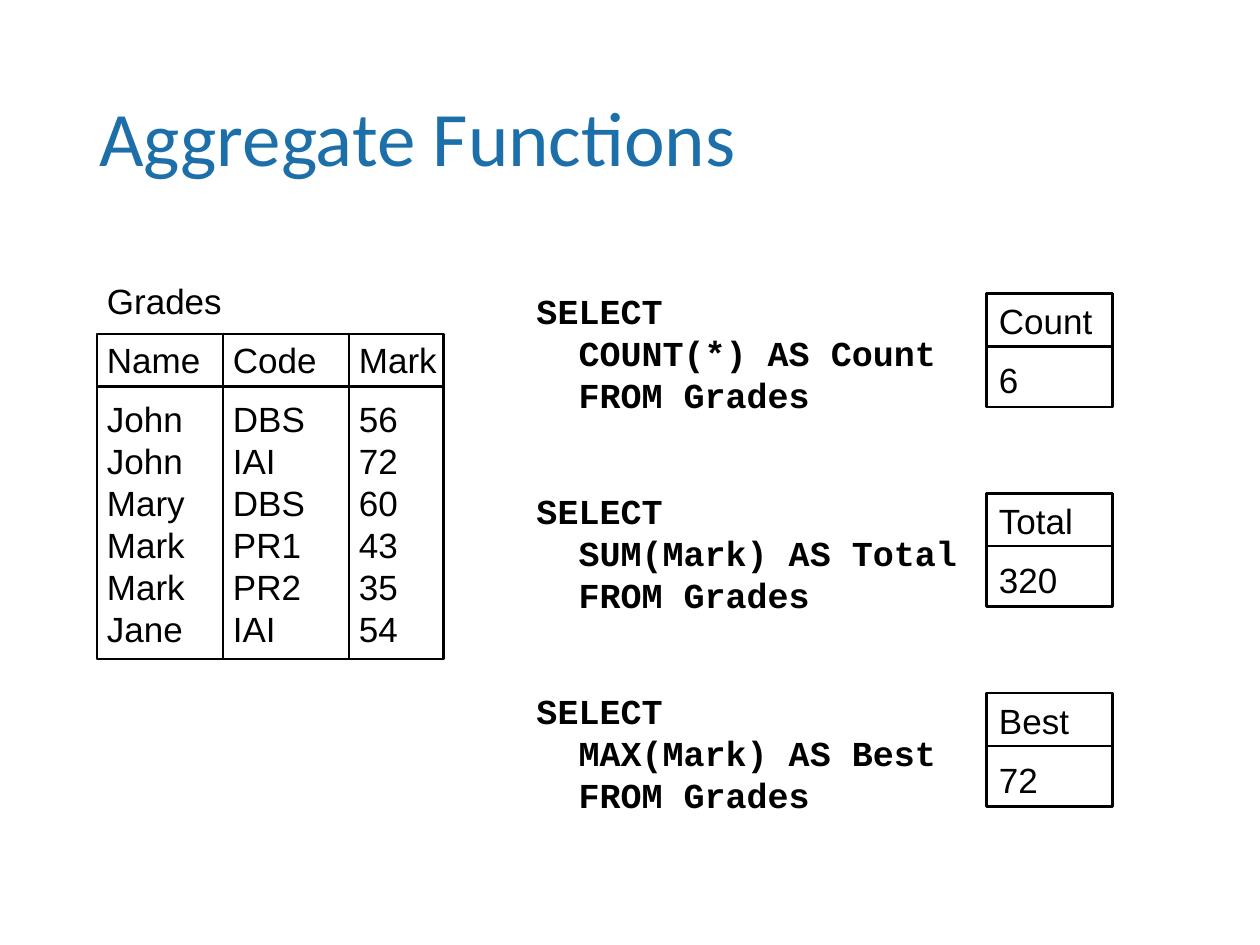
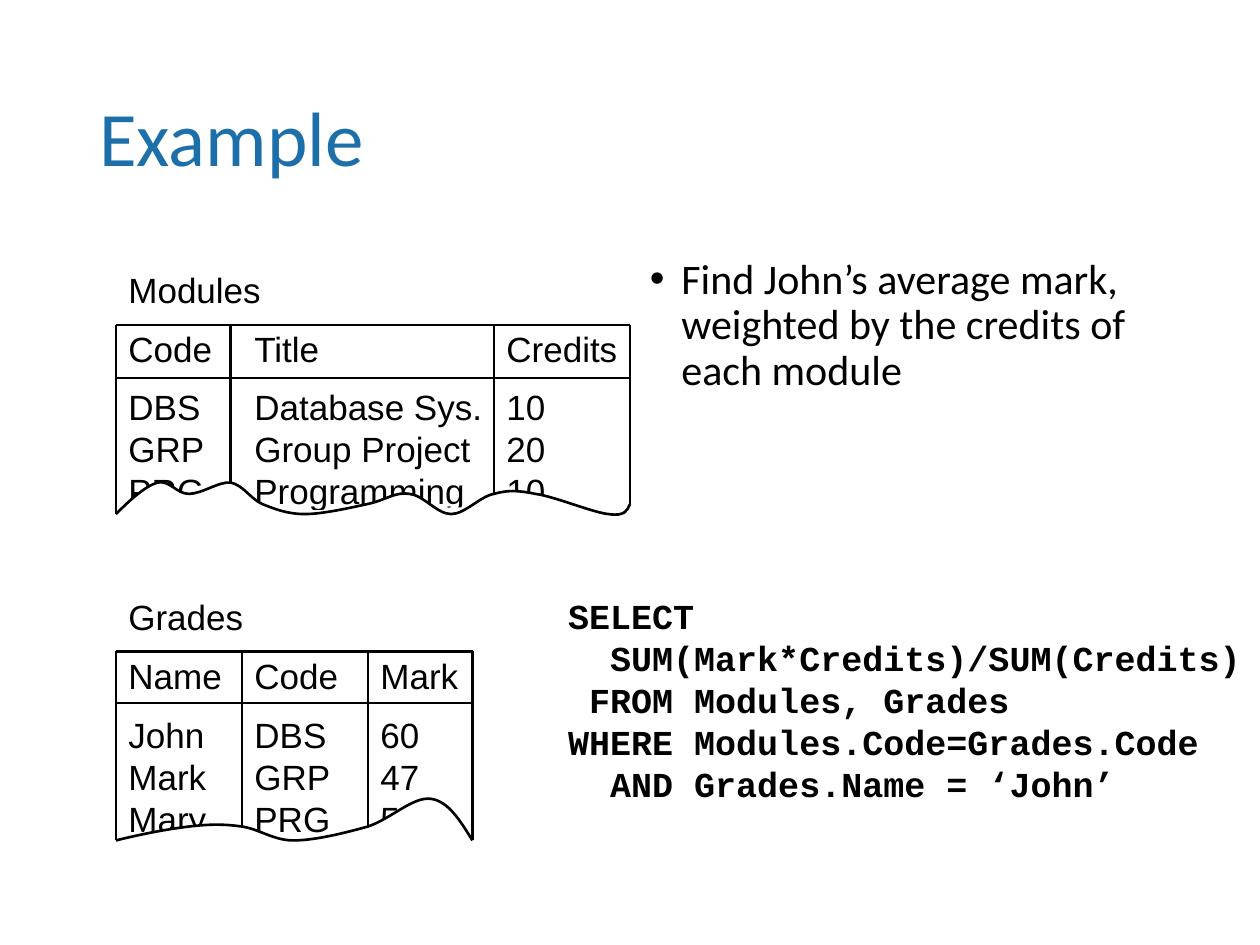
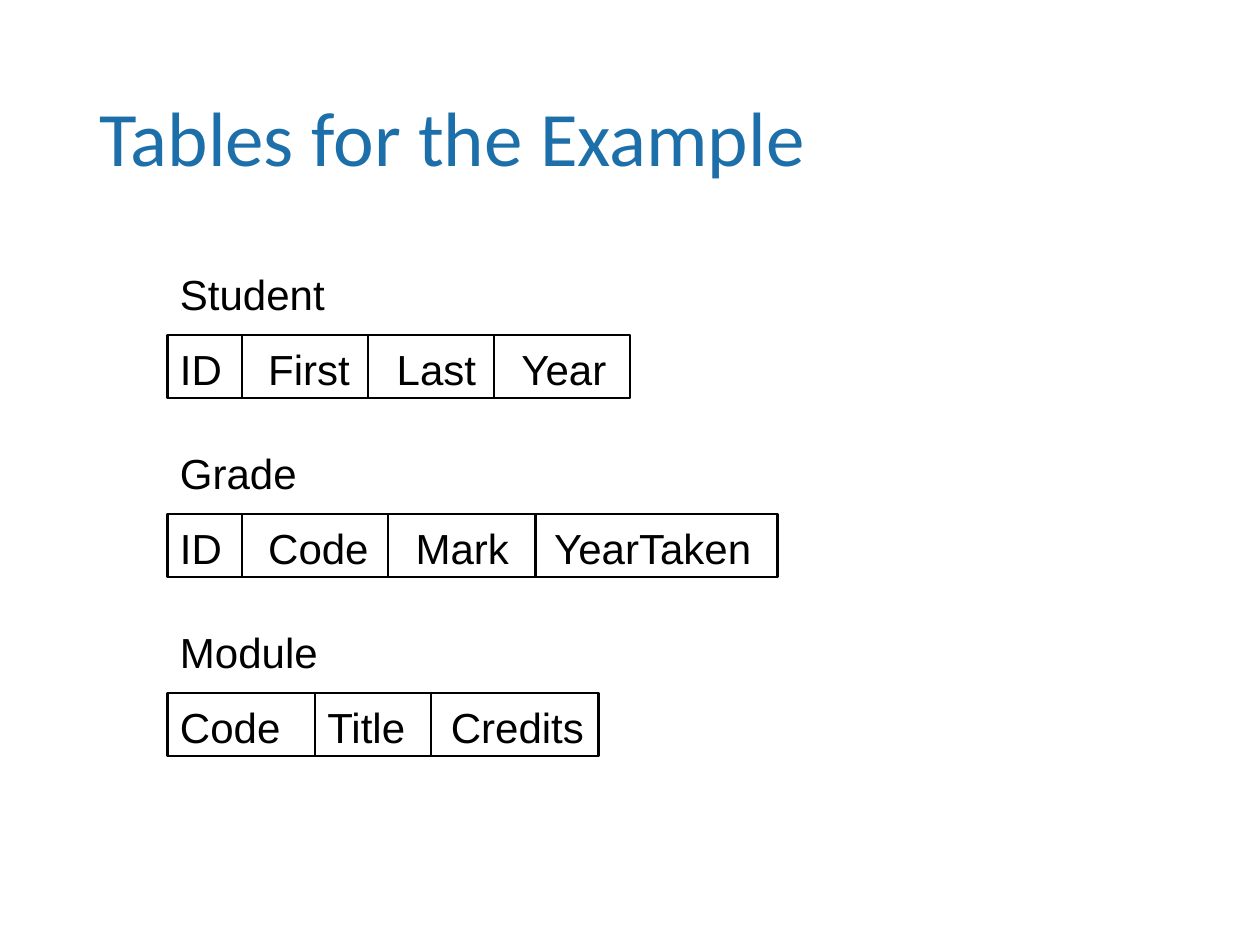
"""Build three slides on SQL aggregate functions and their example tables."""
import pptx
import pptx.dml.color
import pptx.enum.shapes
import pptx.enum.text
import pptx.oxml.ns
import pptx.util
from lxml import etree
from pptx.util import Inches

BLACK = pptx.dml.color.RGBColor(0x00, 0x00, 0x00)
WHITE = pptx.dml.color.RGBColor(0xFF, 0xFF, 0xFF)
TITLE_BLUE = pptx.dml.color.RGBColor(0x1D, 0x6F, 0xA9)
LINE_WIDTH = pptx.util.Pt(1.5)
qn = pptx.oxml.ns.qn


def add_text(page, place, lines, size=20, font="Arial", bold=False, color=BLACK,
             tabs=(), gaps=(), spacing=None, wrap=False, outlined=False):
    """Add a text box or outlined rectangle; gaps gives the points before each line."""
    position = [Inches(length) for length in place]
    if outlined:
        box = page.shapes.add_shape(pptx.enum.shapes.MSO_SHAPE.RECTANGLE, *position)
        box.shadow.inherit = False
        box.fill.background()
        box.line.color.rgb = BLACK
        box.line.width = LINE_WIDTH
    else:
        box = page.shapes.add_textbox(*position)
    frame = box.text_frame
    frame.word_wrap = wrap
    frame.vertical_anchor = pptx.enum.text.MSO_ANCHOR.TOP
    if not wrap and not outlined:
        frame.auto_size = pptx.enum.text.MSO_AUTO_SIZE.SHAPE_TO_FIT_TEXT
    for index, line in enumerate(lines):
        para = frame.paragraphs[0] if index == 0 else frame.add_paragraph()
        para.add_run().text = line
        if tabs:
            stops = etree.SubElement(para._p.get_or_add_pPr(), qn("a:tabLst"))
            for tab in tabs:
                etree.SubElement(stops, qn("a:tab"), pos=str(Inches(tab)), algn="l")
        para.alignment = pptx.enum.text.PP_ALIGN.LEFT
        para.line_spacing = spacing or pptx.util.Pt(size * 1.2)
        if index < len(gaps) and gaps[index]:
            para.space_before = pptx.util.Pt(gaps[index])
        para.font.name = font
        para.font.size = pptx.util.Pt(size)
        para.font.bold = bold
        para.font.color.rgb = color
    return box


def add_line(page, *ends):
    """Add a black straight line from (x1, y1) to (x2, y2) in inches."""
    line = page.shapes.add_connector(
        pptx.enum.shapes.MSO_CONNECTOR.STRAIGHT, *[Inches(end) for end in ends])
    line.line.color.rgb = BLACK
    line.line.width = LINE_WIDTH
    etree.SubElement(line._element.spPr, qn("a:effectLst"))


deck = pptx.Presentation()
deck.slide_width = Inches(10)
deck.slide_height = Inches(7.5)

pages = []
for title in ("Aggregate Functions", "Example", "Tables for the Example"):
    page = deck.slides.add_slide(deck.slide_layouts[6])
    title_box = add_text(page, (0.69, 0.4, 8.63, 1.45), [title], 44, "Calibri",
                         color=TITLE_BLUE, spacing=0.9, wrap=True)
    title_box.text_frame.vertical_anchor = pptx.enum.text.MSO_ANCHOR.MIDDLE
    pages.append(page)
aggregate_page, example_page, tables_page = pages

TABLE_GAPS = (0, 9.6, 9.6)
grades = ["Grades", "Name\tCode\tMark", "John\tDBS\t56", "John\tIAI\t72", "Mary\tDBS\t60",
          "Mark\tPR1\t43", "Mark\tPR2\t35", "Jane\tIAI\t54"]
add_text(aggregate_page, (0.75, 2.17, 2.82, 3.04), grades, tabs=(1, 2), gaps=TABLE_GAPS)
add_text(aggregate_page, (0.77, 2.65, 2.75, 2.58), [], outlined=True)
for divider in (1.77, 2.77):
    add_line(aggregate_page, divider, 2.65, divider, 5.23)
add_line(aggregate_page, 0.77, 3.07, 3.52, 3.07)

queries = [("COUNT(*)", "Count", "6", 3.37), ("SUM(Mark)", "Total", "320", 3.54),
           ("MAX(Mark)", "Best", "72", 3.37)]
for index, (function, column, result, width) in enumerate(queries):
    top = 2.25 + index * 1.585
    code = ["SELECT", f"  {function} AS {column}", "  FROM Grades"]
    add_text(aggregate_page, (4.16, top, width, 1.1), code, font="Courier New", bold=True)
    add_text(aggregate_page, (7.83, top + 0.08, 1, 0.9), [column, result],
             gaps=(0, 9.6), wrap=True, outlined=True)
    add_line(aggregate_page, 7.83, top + 0.5, 8.83, top + 0.5)

task_box = add_text(example_page, (5.06, 2, 4.25, 4.76),
                    ["Find John’s average mark, weighted by the credits of each module"],
                    24, "Calibri", tabs=range(1, 9), spacing=0.9, wrap=True)
task_properties = task_box.text_frame.paragraphs[0]._p.pPr
task_properties.set("marL", str(Inches(0.25)))
task_properties.set("indent", str(-Inches(0.25)))
bullet_font = etree.Element(qn("a:buFont"), typeface="Arial")
bullet = etree.Element(qn("a:buChar"), char="•")
task_properties.find(qn("a:tabLst")).addprevious(bullet_font)
bullet_font.addnext(bullet)

modules_edge = [
    (0.92, 4.08), (1.03, 3.97), (1.15, 3.86), (1.25, 3.83), (1.35, 3.81), (1.4, 3.92),
    (1.5, 3.92), (1.6, 3.92), (1.74, 3.82), (1.83, 3.83), (1.93, 3.85), (1.99, 3.96),
    (2.08, 4), (2.18, 4.04), (2.28, 4.08), (2.42, 4.08), (2.56, 4.08), (2.78, 4.03),
    (2.92, 4), (3.06, 3.97), (3.14, 3.9), (3.25, 3.92), (3.36, 3.93), (3.47, 4.08),
    (3.58, 4.08), (3.69, 4.08), (3.81, 3.94), (3.92, 3.92), (4.03, 3.89), (4.1, 3.89),
    (4.25, 3.92), (4.4, 3.94), (4.71, 4.07), (4.83, 4.08), (4.96, 4.1), (4.98, 4.05), (5, 4)]
grades_edge = [
    (0.92, 6.67), (1.12, 6.62), (1.33, 6.58), (1.5, 6.56), (1.67, 6.54), (1.78, 6.54),
    (1.92, 6.56), (2.06, 6.58), (2.17, 6.67), (2.33, 6.67), (2.5, 6.67), (2.74, 6.61),
    (2.92, 6.56), (3.1, 6.5), (3.28, 6.32), (3.42, 6.34), (3.56, 6.36), (3.65, 6.51),
    (3.75, 6.67)]
modules = ["Modules", "Code\tTitle\tCredits", "DBS\tDatabase Sys.\t10",
           "GRP\tGroup Project\t20", "PRG\tProgramming\t10"]
john_grades = ["Grades", "Name\tCode\tMark", "John\tDBS\t60", "Mark\tGRP\t47", "Mary\tPRG\t56"]
torn_tables = [
    (modules, 2.08, 4.08, (1, 3), 2.58, 3, ((1.83, 3.83), (3.92, 3.92)), modules_edge),
    (john_grades, 4.68, 2.82, (1, 2), 5.17, 5.58, ((1.92, 6.58), (2.92, 6.58)), grades_edge)]
for lines, text_top, text_width, tabs, top, header, dividers, edge in torn_tables:
    add_text(example_page, (0.92, text_top, text_width, 2.03), lines, tabs=tabs, gaps=TABLE_GAPS)
    left, right = edge[0][0], edge[-1][0]
    for x, bottom in (edge[0], *dividers, edge[-1]):
        add_line(example_page, x, top, x, bottom)
    for y in (top, header):
        add_line(example_page, left, y, right, y)
    edge_points = [(Inches(x), Inches(y)) for x, y in edge]
    builder = example_page.shapes.build_freeform(*edge_points[0])
    builder.add_line_segments(edge_points[1:], close=False)
    torn_edge = builder.convert_to_shape()
    torn_edge.shadow.inherit = False
    torn_edge.fill.solid()
    torn_edge.fill.fore_color.rgb = WHITE
    torn_edge.line.color.rgb = BLACK
    torn_edge.line.width = LINE_WIDTH
    segments = list(torn_edge._element.iter(qn("a:lnTo")))
    for start in range(0, len(segments), 3):
        curve = etree.Element(qn("a:cubicBezTo"))
        segments[start].addprevious(curve)
        for segment in segments[start:start + 3]:
            curve.append(segment[0])
            segment.getparent().remove(segment)

average_query = ["SELECT", "  SUM(Mark*Credits)/SUM(Credits)", " FROM Modules, Grades",
                 "WHERE Modules.Code=Grades.Code", "  AND Grades.Name = ‘John’"]
add_text(example_page, (4.41, 4.67, 5.59, 1.77), average_query, font="Courier New",
         bold=True, wrap=True)

schemas = [
    ("Student", "ID\tFirst\tLast\tYear", 3.62, (0.7, 1.72, 2.71), (1.33, 1.92, 2.92, 3.92, 5)),
    ("Grade", "ID\tCode\tMark\tYearTaken", 4.81, (0.7, 1.87, 2.97),
     (1.33, 1.92, 3.08, 4.25, 6.17)),
    ("Module", "Code\tTitle\tCredits", 3.42, (1.17, 2.15), (1.33, 2.5, 3.42, 4.75))]
for index, (name, columns, width, tabs, borders) in enumerate(schemas):
    top = 2.08 + index * 1.42
    add_text(tables_page, (1.33, top, width, 1.1), [name, columns], 24, tabs=tabs, gaps=(0, 14.4))
    for left, right in zip(borders, borders[1:]):
        add_text(tables_page, (left, top + 0.58, right - left, 0.5), [], outlined=True)

deck.save("out.pptx")
